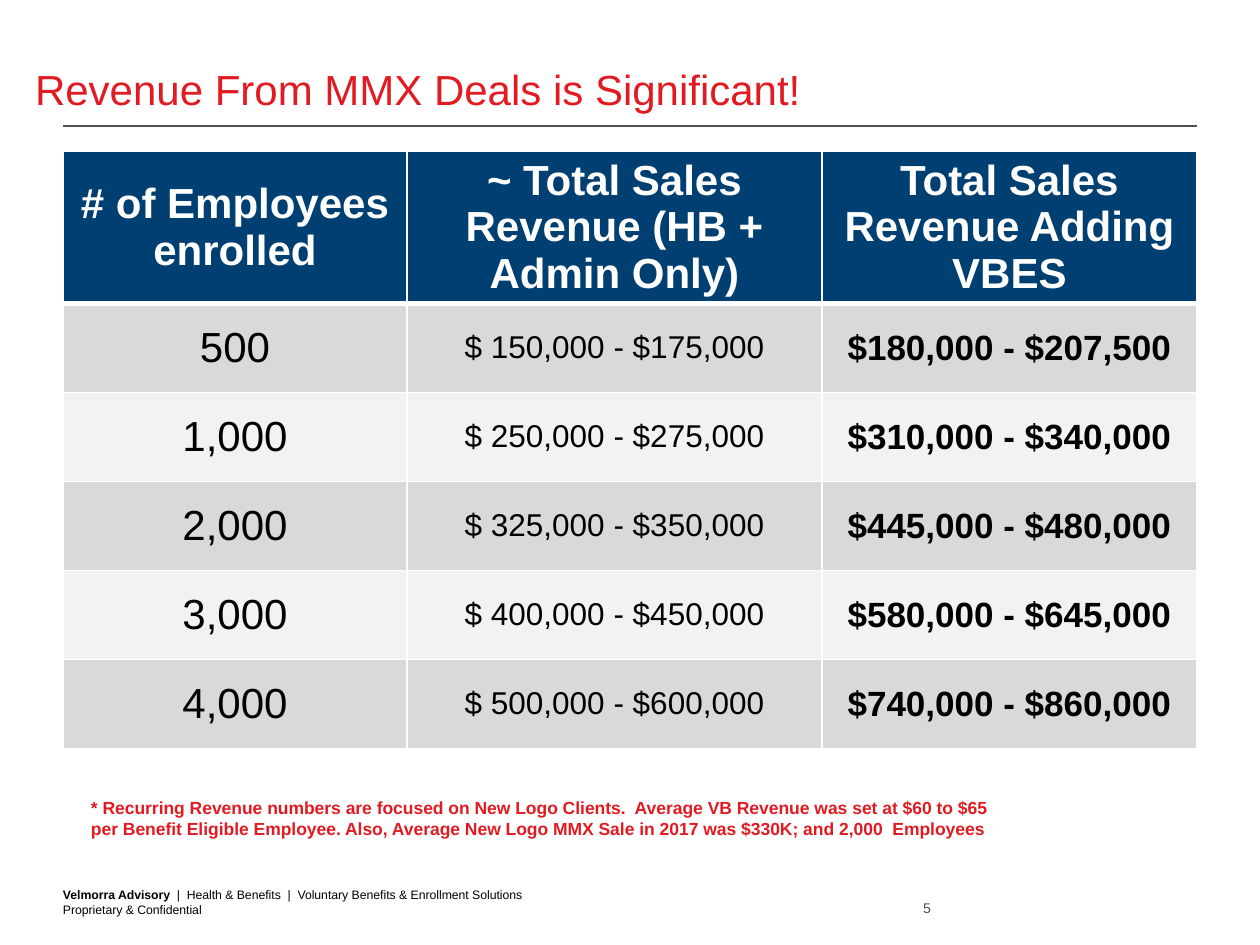
from lxml import etree
from pptx import Presentation
from pptx.dml.color import RGBColor
from pptx.enum.shapes import MSO_CONNECTOR
from pptx.enum.text import MSO_ANCHOR, MSO_AUTO_SIZE, PP_ALIGN
from pptx.oxml.ns import qn
from pptx.util import Emu, Pt

LEFT, CENTER, RIGHT = PP_ALIGN.LEFT, PP_ALIGN.CENTER, PP_ALIGN.RIGHT
TOP, MIDDLE, BOTTOM = MSO_ANCHOR.TOP, MSO_ANCHOR.MIDDLE, MSO_ANCHOR.BOTTOM
STRAIGHT = MSO_CONNECTOR.STRAIGHT
FIT_SHAPE, NO_FIT = MSO_AUTO_SIZE.SHAPE_TO_FIT_TEXT, MSO_AUTO_SIZE.NONE
TITLE_ONLY = 5

COLORS = {"red": "E11B22", "gray": "4D4F53", "black": "000000", "white": "FFFFFF",
          "navy": "003F72", "dark_band": "D9D9D9", "light_band": "F2F2F2"}

# Content
TITLE = "Revenue From MMX Deals is Significant!"
HEADERS = ["# of Employees enrolled", "~ Total Sales Revenue (HB + Admin Only)",
           "Total Sales Revenue Adding VBES"]
ROWS = [
    ("500", "$ 150,000 - $175,000", "$180,000 - $207,500"),
    ("1,000", "$ 250,000 - $275,000", "$310,000 - $340,000"),
    ("2,000", "$ 325,000 - $350,000", "$445,000 - $480,000"),
    ("3,000", "$ 400,000 - $450,000", "$580,000 - $645,000"),
    ("4,000", "$ 500,000 - $600,000", "$740,000 - $860,000"),
]
FOOTNOTE = ("* Recurring Revenue numbers are focused on New Logo Clients.  Average VB Revenue "
            "was set at $60 to $65 per Benefit Eligible Employee. Also, Average New Logo MMX "
            "Sale in 2017 was $330K; and 2,000  Employees")
FOOTER_NAME = "Velmorra Advisory  "
FOOTER_REST = ("|  Health & Benefits  |  Voluntary Benefits & Enrollment Solutions\v"
               "Proprietary & Confidential")
SLIDE_NUMBER = "5"

# Text formats
TITLE_FORMAT = {"size": 24, "color": "red", "bold": False}
HEADER_FORMAT = {"size": 24, "color": "white", "bold": True}
COLUMN_FORMATS = [{"size": 24, "color": "black", "bold": False},
                  {"size": 18, "color": "black", "bold": False},
                  {"size": 20, "color": "black", "bold": True}]
FOOTNOTE_FORMAT = {"size": 10, "color": "red", "bold": True}
FOOTER_FORMAT = {"size": 7, "color": "black", "bold": False}
NUMBER_FORMAT = {"size": 8, "color": "gray", "bold": False}

# Layout in px
EMU_PER_PX = 914400 // 126
MARGIN, RULE_Y, RULE_RIGHT = 63, 126, 1197
TABLE_TOP, HEADER_HEIGHT, ROW_HEIGHT = 151, 96, 89
COLUMN_WIDTHS = [344, 415, 375]


def px(value):
    return Emu(value * EMU_PER_PX)


def rgb(name):
    return RGBColor.from_string(COLORS[name])


def add_run(paragraph, text, style):
    for index, line in enumerate(text.split("\v")):
        if index:
            paragraph.add_line_break()
        run = paragraph.add_run()
        run.text = line
        values = {"name": "Arial", "size": Pt(style["size"]), "bold": style["bold"]}
        for name, value in values.items():
            setattr(run.font, name, value)
        run.font.color.rgb = rgb(style["color"])


def fill_text(shape, box, runs, align=LEFT, anchor=BOTTOM, insets=(0, 0), fit=FIT_SHAPE):
    shape.left, shape.top, shape.width, shape.height = map(px, box)
    side, end = map(px, insets)
    frame = shape.text_frame
    values = {"word_wrap": True, "auto_size": fit, "vertical_anchor": anchor,
              "margin_left": side, "margin_right": side,
              "margin_top": end, "margin_bottom": end}
    for name, value in values.items():
        setattr(frame, name, value)
    paragraph = frame.paragraphs[0]
    paragraph.alignment = align
    for text, style in runs:
        add_run(paragraph, text, style)


def set_borders(cell, bottom_points):
    properties = cell._tc.get_or_add_tcPr()
    sides = [("a:lnL", 1), ("a:lnR", 1), ("a:lnT", 1), ("a:lnB", bottom_points)]
    for index, (tag, points) in enumerate(sides):
        line = etree.Element(qn(tag), w=str(Pt(points)))
        solid = etree.SubElement(line, qn("a:solidFill"))
        etree.SubElement(solid, qn("a:srgbClr"), val=COLORS["white"])
        properties.insert(index, line)


def fill_cell(cell, text, style, fill, bottom_points=1):
    cell.fill.solid()
    cell.fill.fore_color.rgb = rgb(fill)
    cell.vertical_anchor = MIDDLE
    cell.margin_left = cell.margin_right = px(15)
    cell.margin_top = cell.margin_bottom = px(6)
    paragraph = cell.text_frame.paragraphs[0]
    paragraph.alignment = CENTER
    add_run(paragraph, text, style)
    set_borders(cell, bottom_points)


def add_revenue_table(slide):
    height = HEADER_HEIGHT + ROW_HEIGHT * len(ROWS)
    table = slide.shapes.add_table(
        len(ROWS) + 1, len(HEADERS), px(MARGIN), px(TABLE_TOP),
        px(sum(COLUMN_WIDTHS)), px(height)).table
    for column, width in zip(table.columns, COLUMN_WIDTHS):
        column.width = px(width)
    for index, row in enumerate(table.rows):
        row.height = px(ROW_HEIGHT if index else HEADER_HEIGHT)
    for column, text in enumerate(HEADERS):
        fill_cell(table.cell(0, column), text, HEADER_FORMAT, "navy", 3)
    for row, texts in enumerate(ROWS, start=1):
        band = "dark_band" if row % 2 else "light_band"
        for column, (text, style) in enumerate(zip(texts, COLUMN_FORMATS)):
            fill_cell(table.cell(row, column), text, style, band)


def main():
    presentation = Presentation()
    presentation.slide_width, presentation.slide_height = px(1260), px(945)
    slide = presentation.slides.add_slide(presentation.slide_layouts[TITLE_ONLY])

    # Rule under the title
    rule = slide.shapes.add_connector(STRAIGHT, px(MARGIN), px(RULE_Y),
                                      px(RULE_RIGHT), px(RULE_Y))
    rule.line.color.rgb = rgb("gray")
    rule.line.width = Pt(0.75)
    etree.SubElement(rule._element.spPr, qn("a:effectLst"))

    # Title and table
    fill_text(slide.shapes.title, (35, 42, 1200, 72), [(TITLE, TITLE_FORMAT)], fit=NO_FIT)
    add_revenue_table(slide)

    # Footnote, footer and slide number
    bold_footer = {**FOOTER_FORMAT, "bold": True}
    text_boxes = [
        ((78, 791, 950, 55), [(FOOTNOTE, FOOTNOTE_FORMAT)], LEFT, TOP, (13, 6)),
        ((MARGIN, 887, 832, 30),
         [(FOOTER_NAME, bold_footer), (FOOTER_REST, FOOTER_FORMAT)], LEFT, BOTTOM, (0, 0)),
        ((882, 900, 49, 16), [(SLIDE_NUMBER, NUMBER_FORMAT)], RIGHT, BOTTOM, (0, 0)),
    ]
    for box, runs, align, anchor, insets in text_boxes:
        shape = slide.shapes.add_textbox(*map(px, box))
        fill_text(shape, box, runs, align, anchor, insets)

    presentation.save("out.pptx")


if __name__ == "__main__":
    main()
